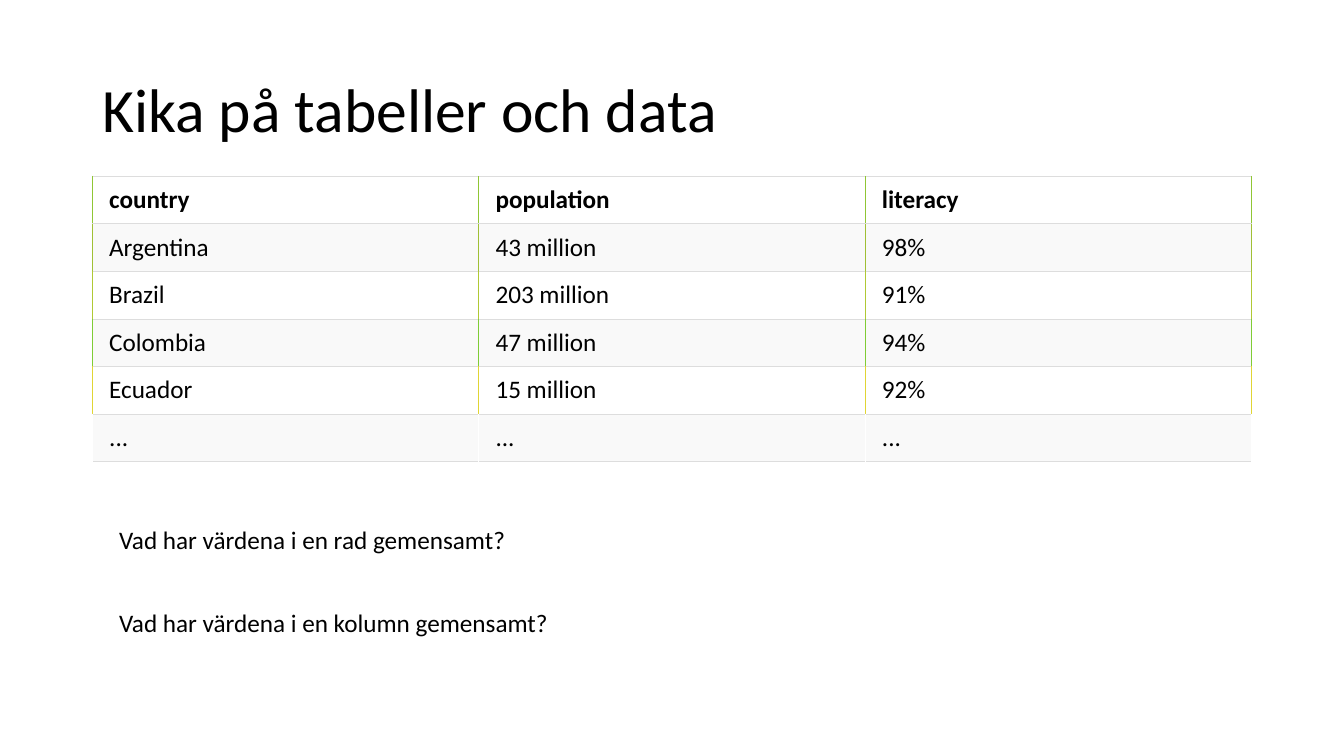
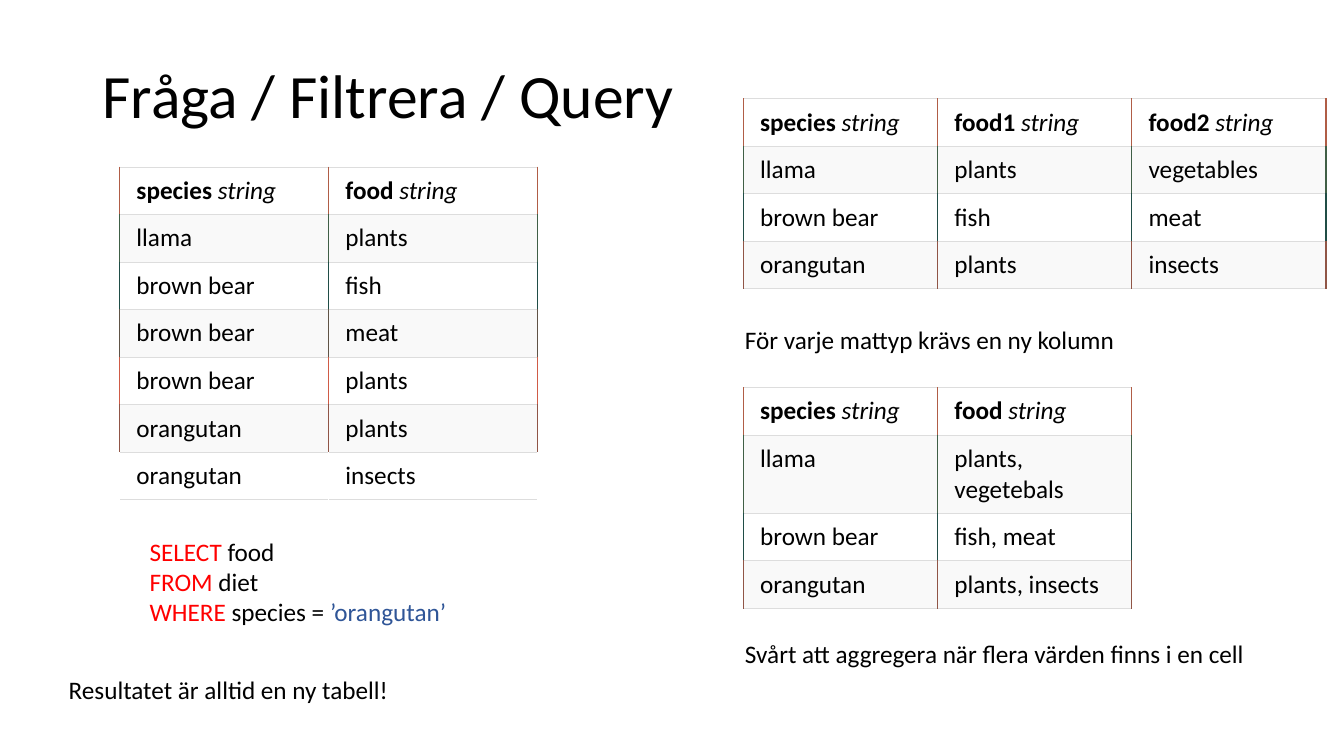
import pptx
import pptx.dml.color
import pptx.enum.text
import pptx.oxml.ns
import pptx.util
from lxml import etree

RGBColor = pptx.dml.color.RGBColor
Anchor = pptx.enum.text.MSO_ANCHOR

BLACK = RGBColor(0x00, 0x00, 0x00)
WHITE = RGBColor(0xFF, 0xFF, 0xFF)
STRIPE = RGBColor(0xF9, 0xF9, 0xF9)
RULE = RGBColor(0xDD, 0xDD, 0xDD)
KEYWORD = RGBColor(0xFF, 0x00, 0x00)
LITERAL = RGBColor(0x2F, 0x55, 0x97)

GREEN = RGBColor(0x90, 0xC6, 0x35)
OLIVE = RGBColor(0xA0, 0xC0, 0x35)
LIME = RGBColor(0xB0, 0xC9, 0x35)
LEAF = RGBColor(0x80, 0xCC, 0x35)
YELLOW = RGBColor(0xE0, 0xD5, 0x35)

RUST = RGBColor(0xB0, 0x5D, 0x46)
MOSS = RGBColor(0x40, 0x5F, 0x46)
PINE = RGBColor(0x20, 0x4D, 0x46)
UMBER = RGBColor(0x60, 0x53, 0x46)
ORANGE = RGBColor(0xD0, 0x5B, 0x46)
BRICK = RGBColor(0x90, 0x55, 0x46)

SCALE = 9525
FONT = "Calibri"
TITLE_SIZE = 44
TEXT_SIZE = 18
ROW_HEIGHT = 45
CELL_MARGIN_X, CELL_MARGIN_Y = 16, 8


def px(length):
    return pptx.util.Emu(length * SCALE)


class Deck:
    """Holds the shared style and the slide being filled."""

    def __init__(self):
        self.presentation = pptx.Presentation()
        self.presentation.slide_width = px(1280)
        self.presentation.slide_height = px(720)
        self.slide = None

    def add_slide(self, title, title_height):
        layout = self.presentation.slide_layouts.get_by_name("Title Only")
        self.slide = self.presentation.slides.add_slide(layout)
        shape = self.slide.shapes.title
        shape.left, shape.top = px(88), px(38)
        shape.width, shape.height = px(1104), px(title_height)
        frame = shape.text_frame
        frame.auto_size = pptx.enum.text.MSO_AUTO_SIZE.NONE
        frame.vertical_anchor = Anchor.MIDDLE
        paragraph = frame.paragraphs[0]
        paragraph.alignment = pptx.enum.text.PP_ALIGN.LEFT
        paragraph.line_spacing = 0.9
        self.add_run(paragraph, title, size=TITLE_SIZE)

    def add_run(self, paragraph, text, color=BLACK, size=TEXT_SIZE, bold=False, italic=False):
        run = paragraph.add_run()
        run.text = text
        run.font.name = FONT
        run.font.size = pptx.util.Pt(size)
        run.font.color.rgb = color
        run.font.bold = bold
        run.font.italic = italic

    def add_text(self, left, top, width, lines, wrap=True):
        """Each line is a list of (text, color) runs."""
        height = 9 + 29 * len(lines)
        shape = self.slide.shapes.add_textbox(px(left), px(top), px(width), px(height))
        frame = shape.text_frame
        frame.word_wrap = wrap
        frame.auto_size = pptx.enum.text.MSO_AUTO_SIZE.SHAPE_TO_FIT_TEXT
        paragraph = frame.paragraphs[0]
        for index, line in enumerate(lines):
            if index:
                paragraph.add_line_break()
            for text, color in line:
                self.add_run(paragraph, text, color)

    def add_note(self, left, top, width, text, wrap=True):
        self.add_text(left, top, width, [[(text, BLACK)]], wrap)

    def add_table(self, left, top, column_width, header, rows, side_colors):
        """A header cell is (name, type); side_colors has one color per row."""
        row_count, column_count = len(rows) + 1, len(header)
        table = self.slide.shapes.add_table(
            row_count, column_count, px(left), px(top),
            px(column_width * column_count), px(ROW_HEIGHT * row_count)).table
        table.first_row = False
        table.horz_banding = False
        for column in table.columns:
            column.width = px(column_width)
        for row in table.rows:
            row.height = px(ROW_HEIGHT)
        for row_index, values in enumerate([header, *rows]):
            for column_index, value in enumerate(values):
                cell = table.cell(row_index, column_index)
                self.style_cell(cell, side_colors[row_index], STRIPE if row_index % 2 else WHITE)
                paragraph = cell.text_frame.paragraphs[0]
                if row_index:
                    self.add_run(paragraph, value)
                    continue
                cell.vertical_anchor = Anchor.BOTTOM
                name, type_name = value
                self.add_run(paragraph, name, bold=True)
                if type_name:
                    self.add_run(paragraph, type_name, italic=True)

    def style_cell(self, cell, side_color, fill_color):
        cell.margin_left = cell.margin_right = px(CELL_MARGIN_X)
        cell.margin_top = cell.margin_bottom = px(CELL_MARGIN_Y)
        cell.vertical_anchor = Anchor.TOP
        side_width = 0.75 if side_color == WHITE else 1
        for edge, color, width in (("L", side_color, side_width), ("R", side_color, side_width),
                                   ("T", RULE, 0.75), ("B", RULE, 0.75)):
            self.add_border(cell, edge, color, width)
        cell.fill.solid()
        cell.fill.fore_color.rgb = fill_color

    def add_border(self, cell, edge, color, width):
        qn = pptx.oxml.ns.qn
        line = etree.SubElement(cell._tc.get_or_add_tcPr(), qn(f"a:ln{edge}"),
                                w=str(pptx.util.Pt(width)))
        fill = etree.SubElement(line, qn("a:solidFill"))
        etree.SubElement(fill, qn("a:srgbClr"), val=str(color))


def build_table_slide(deck):
    deck.add_slide("Kika på tabeller och data", 139)
    deck.add_table(
        88, 168, 368,
        [("country", ""), ("population", ""), ("literacy", "")],
        [("Argentina", "43 million", "98%"),
         ("Brazil", "203 million", "91%"),
         ("Colombia", "47 million", "94%"),
         ("Ecuador", "15 million", "92%"),
         ("...", "...", "...")],
        [GREEN, OLIVE, LIME, LEAF, YELLOW, WHITE])
    deck.add_note(104, 495, 392, "Vad har värdena i en rad gemensamt?", wrap=False)
    deck.add_note(104, 574, 433, "Vad har värdena i en kolumn gemensamt?", wrap=False)


def build_query_slide(deck):
    species, food = ("species ", "string"), ("food ", "string")
    animal_colors = [RUST, MOSS, PINE, BRICK]
    deck.add_slide("Fråga / Filtrera / Query", 112)
    deck.add_table(
        114, 159, 199, [species, food],
        [("llama", "plants"),
         ("brown bear", "fish"),
         ("brown bear", "meat"),
         ("brown bear", "plants"),
         ("orangutan", "plants"),
         ("orangutan", "insects")],
        [RUST, MOSS, PINE, UMBER, ORANGE, BRICK, WHITE])
    deck.add_table(
        708, 94, 185, [species, ("food1 ", "string"), ("food2 ", "string")],
        [("llama", "plants", "vegetables"),
         ("brown bear", "fish", "meat"),
         ("orangutan", "plants", "insects")],
        animal_colors)
    deck.add_table(
        708, 369, 185, [species, food],
        [("llama", "plants, vegetebals"),
         ("brown bear", "fish, meat"),
         ("orangutan", "plants, insects")],
        animal_colors)
    deck.add_note(700, 304, 555, "För varje mattyp krävs en ny kolumn")
    deck.add_note(700, 603, 555, "Svårt att aggregera när flera värden finns i en cell")
    deck.add_text(133, 506, 337, [
        [("SELECT ", KEYWORD), ("food ", BLACK)],
        [("FROM", KEYWORD), (" diet ", BLACK)],
        [("WHERE", KEYWORD), (" species = ", BLACK), ("’orangutan’", LITERAL)]])
    deck.add_note(56, 637, 555, "Resultatet är alltid en ny tabell!")


def main():
    deck = Deck()
    build_table_slide(deck)
    build_query_slide(deck)
    deck.presentation.save("out.pptx")


if __name__ == "__main__":
    main()
